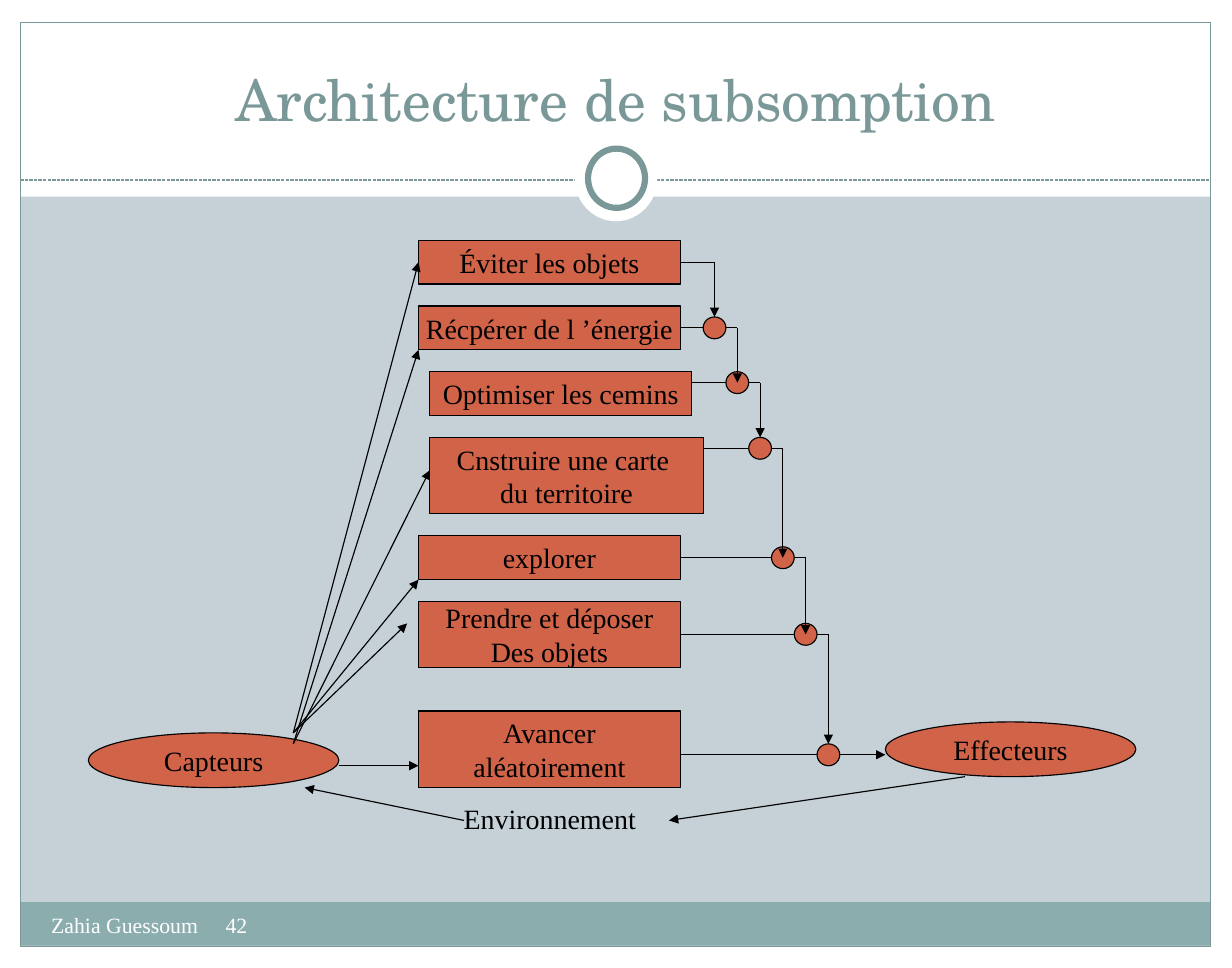
import lxml.etree
import pptx
import pptx.dml.color
import pptx.enum.dml
import pptx.enum.shapes
import pptx.enum.text
import pptx.oxml.ns
import pptx.util

W, H = 11.02, 8.66
COLS, ROWS = 92, 53
TEAL, WHITE, RUST, BLACK = "7B9899", "FFFFFF", "D16349", "000000"
SERIF = "Times New Roman"
RECT = pptx.enum.shapes.MSO_SHAPE.RECTANGLE
OVAL = pptx.enum.shapes.MSO_SHAPE.OVAL
ALIGN = pptx.enum.text.PP_ALIGN
ANCHOR = pptx.enum.text.MSO_ANCHOR

LAYERS = [
    (29, 0, 23, 4, ["Éviter les objets"]),
    (29, 6, 23, 4, ["Récpérer de l ’énergie"]),
    (30, 12, 23, 4, ["Optimiser les cemins"]),
    (30, 18, 24, 7, ["Cnstruire une carte ", "du territoire"]),
    (29, 27, 23, 4, ["explorer"]),
    (29, 33, 23, 6, ["Prendre et déposer", "Des objets"]),
    (29, 43, 23, 7, ["Avancer", "aléatoirement"]),
]
OUTPUT_ROWS = [2, 8, 13, 19, 29, 36, 47]
ARROW_END_ROWS = [7, 13, 18, 29, 36, 46]
SENSOR_ARROWS = [(45, 28, 35), (45, 29, 2), (46, 29, 10), (45, 29, 31), (46, 30, 21)]


def rgb(value):
    """Turn a hex string into a colour."""
    return pptx.dml.color.RGBColor.from_string(value)


def inches(*values):
    """Turn numbers of inches into lengths."""
    return [pptx.util.Inches(v) for v in values]


def child(parent, tag, **attrs):
    """Append a drawing element to a parent."""
    return lxml.etree.SubElement(parent, pptx.oxml.ns.qn(tag), **attrs)


def scaled(box, x, y, w, h):
    """Place a grid rectangle inside the box."""
    cw, rh = box[2] / COLS, box[3] / ROWS
    return box[0] + x * cw, box[1] + y * rh, w * cw, h * rh


def add_run(p, text, size, color, font=SERIF):
    """Add a formatted run to a paragraph."""
    r = p.add_run()
    r.text = text
    r.font.size = pptx.util.Pt(size)
    r.font.name = font
    r.font.color.rgb = rgb(color)


def add_figure(s, kind, box, fill=None, line=None, width=0.75, lines=()):
    """Add a preset shape with centred lines of text."""
    sp = s.shapes.add_shape(kind, *inches(*box))
    sp.shadow.inherit = False
    if fill:
        sp.fill.solid()
        sp.fill.fore_color.rgb = rgb(fill)
    else:
        sp.fill.background()
    if line:
        sp.line.color.rgb = rgb(line)
        sp.line.width = pptx.util.Pt(width)
    else:
        sp.line.fill.background()
    tf = sp.text_frame
    tf.word_wrap = False
    tf.vertical_anchor = ANCHOR.MIDDLE
    for i, text in enumerate(lines):
        p = tf.add_paragraph() if i else tf.paragraphs[0]
        p.alignment = ALIGN.CENTER
        add_run(p, text, 18, BLACK)


def add_line(s, start, end, color=BLACK, arrow=False, dash=None):
    """Add a straight line, with an arrowhead if asked."""
    straight = pptx.enum.shapes.MSO_CONNECTOR.STRAIGHT
    cx = s.shapes.add_connector(straight, *inches(*start, *end))
    cx.line.color.rgb = rgb(color)
    cx.line.width = pptx.util.Pt(0.75)
    if dash:
        cx.line.dash_style = dash
    spPr = cx.element.spPr
    if arrow:
        child(spPr.get_or_add_ln(), "a:tailEnd", type="triangle")
    child(spPr, "a:effectLst")


def grid_line(s, box, x1, y1, x2, y2, arrow=False):
    """Add a line between two points of the grid."""
    add_line(s, scaled(box, x1, y1, 0, 0)[:2], scaled(box, x2, y2, 0, 0)[:2], arrow=arrow)


def add_frame(s, box):
    """Draw the white margins, the footer band and the header ornament."""
    x, y, w, h = box
    right, bottom = x + w, y + h
    for part in [(0, bottom, W, H - bottom), (0, 0, W, 1.76),
                 (0, 0, x, H), (right, 0, W - right, H)]:
        add_figure(s, RECT, part, WHITE)
    add_figure(s, RECT, (x, bottom - 0.4, w, 0.39), "8CADAE")
    add_figure(s, RECT, box, line=TEAL)
    add_line(s, (x, 1.61), (right, 1.61), TEAL, dash=pptx.enum.dml.MSO_LINE.SQUARE_DOT)
    add_figure(s, OVAL, (W / 2 - 0.37, 1.21, 0.74, 0.77), WHITE)
    add_figure(s, OVAL, (W / 2 - 0.25, 1.33, 0.51, 0.53), WHITE, TEAL, 4)


def add_title(s, box):
    """Place the title above the header ornament."""
    sp = s.shapes.title
    sp.element.getparent().append(sp.element)
    sp.left, sp.top, sp.width, sp.height = inches(*box)
    tf = sp.text_frame
    tf.vertical_anchor = ANCHOR.BOTTOM
    tf.margin_top = tf.margin_bottom = pptx.util.Inches(0.06)
    p = tf.paragraphs[0]
    p.alignment = ALIGN.CENTER
    add_run(p, "Architecture de subsomption", 37, TEAL, "TeX Gyre Schola")


def add_footer(s, box):
    """Write the author and the page number."""
    tf = s.shapes.add_textbox(*inches(*box)).text_frame
    tf.word_wrap = True
    tf.margin_top = tf.margin_bottom = pptx.util.Inches(0.06)
    p = tf.paragraphs[0]
    tabs = child(p._p.get_or_add_pPr(), "a:tabLst")
    child(tabs, "a:tab", pos=str(pptx.util.Inches(1.56)), algn="l")
    add_run(p, "Zahia Guessoum", 14, WHITE)
    add_run(p, "\t42", 14, WHITE)


def add_layers(s, box):
    """Draw the behaviours and the chain of suppression nodes."""
    for i, (x, y, w, h, lines) in enumerate(LAYERS):
        add_figure(s, RECT, scaled(box, x, y, w, h), RUST, BLACK, lines=lines)
        last = i == len(LAYERS) - 1
        row = OUTPUT_ROWS[i]
        grid_line(s, box, x + w, row, 70 if last else 55 + 2 * i, row, last)
    for i, end in enumerate(ARROW_END_ROWS):
        col = 55 + 2 * i
        node = scaled(box, col - 1, OUTPUT_ROWS[i + 1] - 1, 2, 2)
        add_figure(s, OVAL, node, RUST, BLACK)
        grid_line(s, box, col, OUTPUT_ROWS[i], col, end, True)


def add_environment(s, box):
    """Draw the sensors, the effectors and the loop through the environment."""
    for x, y, text in [(0, 45, "Capteurs"), (70, 44, "Effecteurs")]:
        add_figure(s, OVAL, scaled(box, x, y, 22, 5), RUST, BLACK, lines=[text])
    tf = s.shapes.add_textbox(*inches(*scaled(box, 32, 50.8, 19, 4))).text_frame
    tf.word_wrap = True
    add_run(tf.paragraphs[0], "Environnement", 18, BLACK)
    for ends in [(22, 48, 29, 48), (77, 49, 51, 53), (33, 53, 19, 50)]:
        grid_line(s, box, *ends, True)
    for row, to_col, to_row in SENSOR_ARROWS:
        grid_line(s, box, 18, row, to_col, to_row, True)


def main():
    """Build the slide and save it."""
    prs = pptx.Presentation()
    prs.slide_width, prs.slide_height = inches(W, H)
    s = prs.slides.add_slide(prs.slide_layouts[5])
    s.background.fill.solid()
    s.background.fill.fore_color.rgb = rgb("C5D1D7")
    add_frame(s, (0.18, 0.2, 10.65, 8.27))
    add_title(s, (0.36, 0.29, 10.29, 0.96))
    add_footer(s, (0.36, 8.1, 3.96, 0.46))
    diagram = (0.79, 2.15, 9.37, 5.19)
    add_layers(s, diagram)
    add_environment(s, diagram)
    prs.save("out.pptx")


if __name__ == "__main__":
    main()
